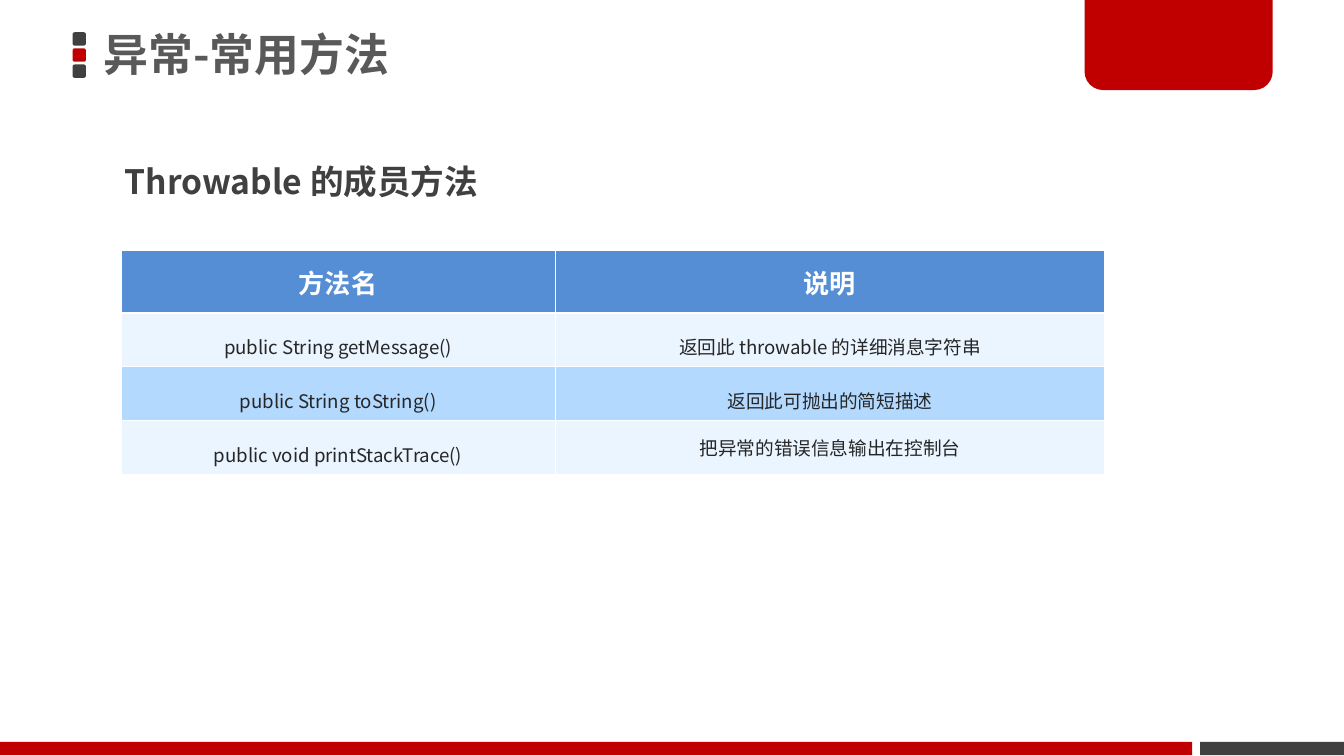
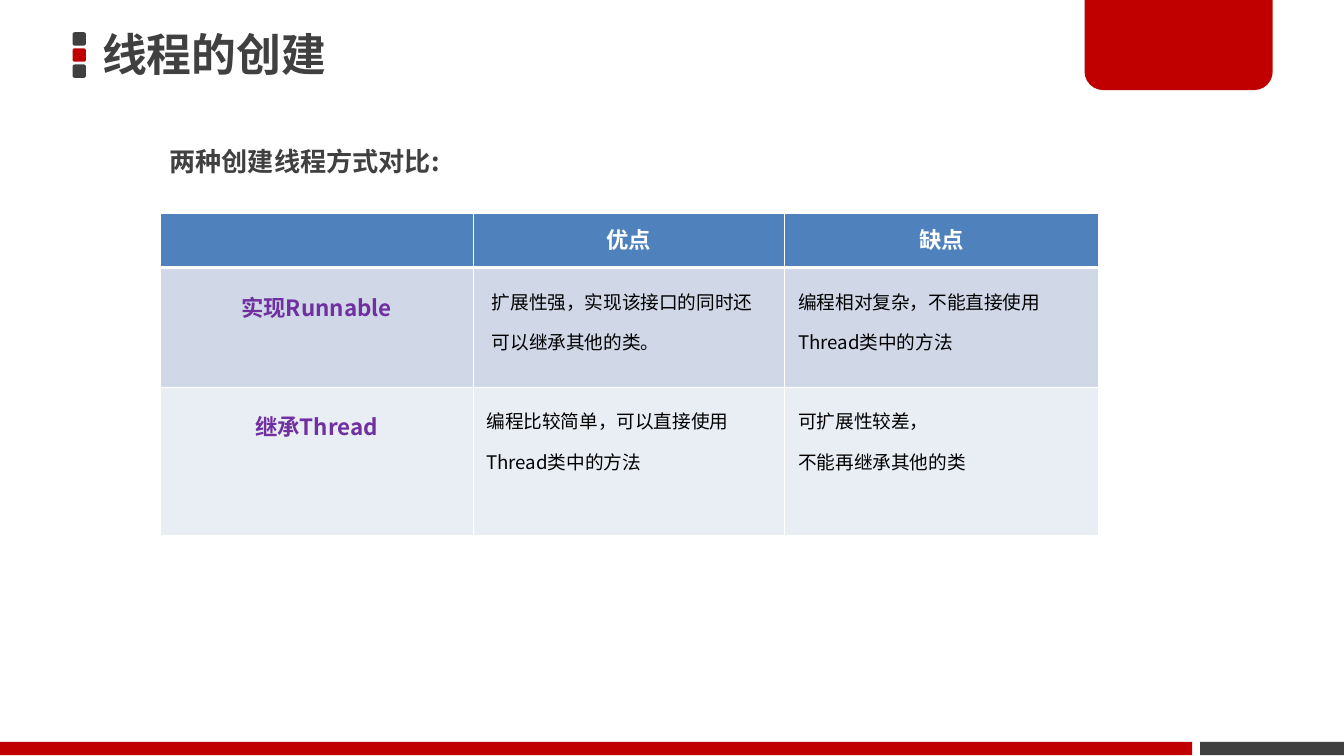
from dataclasses import dataclass, replace
from typing import Any

from lxml.etree import SubElement as Sub
from pptx import Presentation
from pptx.dml.color import RGBColor
from pptx.enum.shapes import MSO_SHAPE as Kind
from pptx.enum.text import MSO_ANCHOR as Anchor, PP_ALIGN as Align
from pptx.oxml.ns import qn
from pptx.util import Inches, Pt

# Shared colours and fonts
RED, DARK, GREY, WHITE = "C00000", "404040", "595959", "FFFFFF"
SC, JP = "Noto Sans CJK SC", "Noto Sans CJK JP"
THIN, THICK = 0.45, 1.47


@dataclass(frozen=True)
class Style:
    size: float
    color: str
    bold: bool = False
    font: str = SC
    align: Any = Align.LEFT
    anchor: Any = Anchor.TOP
    line: Any = None
    before: float = 0
    side: float = 0.1
    top: float = 0.05


# Text styles
TITLE = Style(24, DARK, True, JP, anchor=Anchor.MIDDLE, side=0.07, top=0.04)
HEAD = Style(14, WHITE, True, align=Align.CENTER, line=Pt(24))
CELL = Style(10, "262626", align=Align.CENTER, anchor=Anchor.MIDDLE, line=1.5)
LABEL = Style(12, "7030A0", True, align=Align.CENTER, line=1.5)
BODY = Style(10, "000000", line=1.5)


def rgb(code):
    return RGBColor.from_string(code)


def write(frame, text, style):
    """Fill a text frame, one paragraph for each line."""
    for num, line in enumerate(text.split("\n")):
        par = frame.paragraphs[0] if num == 0 else frame.add_paragraph()
        if line:
            par.text = line
        else:
            Sub(par._p, qn("a:endParaRPr"), sz=str(style.size * 100))
        par.alignment = style.align
        if style.line:
            par.line_spacing = style.line
        if style.before:
            par.space_before = Pt(style.before)
        font = par.font
        font.size, font.bold, font.name = Pt(style.size), style.bold, style.font
        font.color.rgb = rgb(style.color)
        Sub(font._element, qn("a:ea"), typeface=style.font)


def pad(box, style):
    """Set the margins of a cell or a text frame."""
    box.margin_left = box.margin_right = Inches(style.side)
    box.margin_top = box.margin_bottom = Inches(style.top)
    box.vertical_anchor = style.anchor


def label(slide, area, text, style):
    frame = slide.shapes.add_textbox(*map(Inches, area)).text_frame
    frame.word_wrap = True
    pad(frame, style)
    write(frame, text, style)


def block(slide, kind, area, color, *bends):
    shape = slide.shapes.add_shape(kind, *map(Inches, area))
    shape.shadow.inherit = False
    shape.fill.solid()
    shape.fill.fore_color.rgb = rgb(color)
    shape.line.fill.background()
    for num, bend in enumerate(bends):
        shape.adjustments[num] = bend


def edge(cell, side, width):
    """Draw one white border of a cell."""
    props = cell._tc.get_or_add_tcPr()
    line = Sub(props, qn("a:ln" + side), w=str(Pt(width)))
    fill = Sub(line, qn("a:solidFill"))
    Sub(fill, qn("a:srgbClr"), val=WHITE)


def grid(slide, left, top, cols, rows, fills, cells):
    """Add a table; each entry of cells is a (text, style) pair."""
    area = map(Inches, (left, top, sum(cols), sum(rows)))
    table = slide.shapes.add_table(len(rows), len(cols), *area).table
    table.first_row = table.horz_banding = False
    for col, width in zip(table.columns, cols):
        col.width = Inches(width)
    for num, (row, high) in enumerate(zip(table.rows, rows)):
        row.height = Inches(high)
        for cell, (text, style) in zip(row.cells, cells[num]):
            pad(cell, style)
            edge(cell, "L", THIN)
            edge(cell, "R", THIN)
            edge(cell, "T", THICK if num == 1 else THIN)
            edge(cell, "B", THICK if num == 0 else THIN)
            cell.fill.solid()
            cell.fill.fore_color.rgb = rgb(fills[num])
            write(cell.text_frame, text, style)


def base(deck):
    """Add a slide with the marks, the red tab and the footer bands."""
    slide = deck.slides.add_slide(deck.slide_layouts[6])
    for num, color in enumerate((DARK, RED, DARK)):
        area = (0.54, 0.24 + 0.12 * num, 0.1, 0.1)
        block(slide, Kind.ROUNDED_RECTANGLE, area, color, 0.167)
    block(slide, Kind.RECTANGLE, (8.93, 5.52, 1.07, 0.1), DARK)
    block(slide, Kind.ROUND_2_SAME_RECTANGLE, (8.07, -0.02, 1.4, 0.69), RED, 0, 0.2)
    block(slide, Kind.RECTANGLE, (0, 5.52, 8.87, 0.1), RED)
    return slide


def methods(deck):
    slide = base(deck)
    head = replace(TITLE, color=GREY, font=SC, line=0.9, side=0.08)
    label(slide, (0.69, -0.02, 5.89, 0.89), "异常-常用方法", head)
    label(slide, (0.83, 1, 7.25, 0.55), "Throwable 的成员方法",
          Style(18, DARK, True, line=1.5))
    cells = [
        [("方法名", HEAD), ("说明", HEAD)],
        [("public String getMessage()", CELL),
         ("返回此 throwable 的详细消息字符串", CELL)],
        [("public String toString()", CELL), ("返回此可抛出的简短描述", CELL)],
        [("public void printStackTrace()", CELL),
         ("把异常的错误信息输出在控制台", replace(CELL, line=None))],
    ]
    grid(slide, 0.9, 1.86, (3.23, 4.09), (0.47, 0.4, 0.4, 0.4),
         ("558ED5", "EBF5FF", "B3D9FF", "EBF5FF"), cells)


def threads(deck):
    slide = base(deck)
    label(slide, (0.69, 0.19, 7.19, 0.42), "线程的创建", TITLE)
    label(slide, (1.19, 0.98, 3.5, 0.43), "两种创建线程方式对比:",
          replace(TITLE, size=14, before=3.5))
    head = replace(HEAD, size=12, font="Calibri", anchor=Anchor.MIDDLE, line=None)
    cells = [
        [("", head), ("优点", head), ("缺点", head)],
        [("实现Runnable", LABEL),
         ("扩展性强，实现该接口的同时还可以继承其他的类。", replace(BODY, side=0.14)),
         ("编程相对复杂，不能直接使用Thread类中的方法", BODY)],
        [("继承Thread", LABEL),
         ("编程比较简单，可以直接使用Thread类中的方法", BODY),
         ("可扩展性较差，\n不能再继承其他的类", BODY)],
    ]
    grid(slide, 1.19, 1.59, (2.33, 2.32, 2.33), (0.4, 0.89, 1.1),
         ("4F81BD", "D0D8E8", "E9EDF4"), cells)


def main():
    deck = Presentation()
    # Widescreen, 16 to 9
    deck.slide_width = Inches(10)
    deck.slide_height = deck.slide_width * 9 // 16
    methods(deck)
    threads(deck)
    deck.save("out.pptx")


if __name__ == "__main__":
    main()
